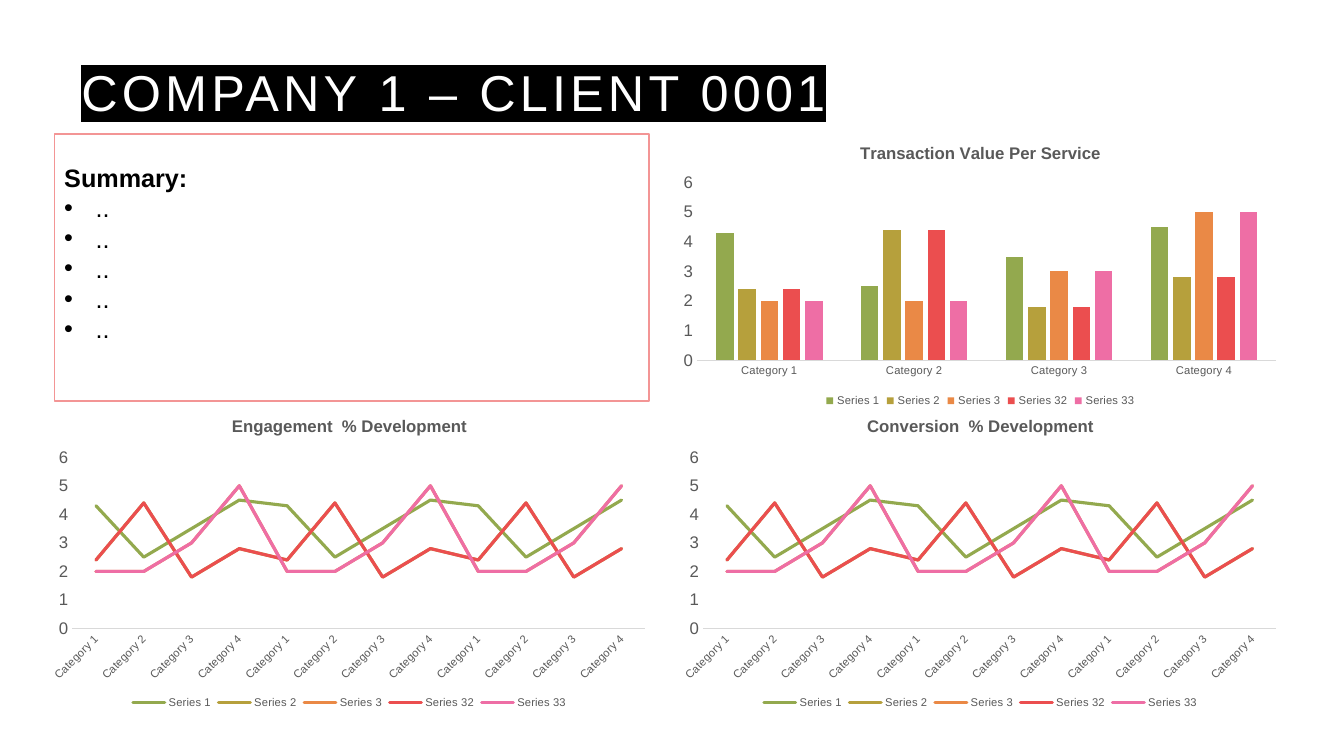
from lxml import etree
from pptx import Presentation
from pptx import util as u
from pptx.chart import data as chart_data
from pptx.dml.color import RGBColor
from pptx.enum import chart as charts, shapes, text
from pptx.oxml import parse_xml
from pptx.oxml.ns import nsdecls, qn

Cm, Pt = u.Cm, u.Pt
FONT = "Arial"
COLORS = {"black": "000000", "white": "FFFFFF", "grey": "595959",
          "axis": "D9D9D9", "border": "F39595"}
SERIES = {
    "Series 1": ("93A94E", [4.3, 2.5, 3.5, 4.5]),
    "Series 2": ("B6A03C", [2.4, 4.4, 1.8, 2.8]),
    "Series 3": ("EA8946", [2, 2, 3, 5]),
    "Series 32": ("EB4E4F", [2.4, 4.4, 1.8, 2.8]),
    "Series 33": ("EE6EA5", [2, 2, 3, 5]),
}
CATEGORIES = [f"Category {number}" for number in range(1, 5)]
LEFT, RIGHT, CHART_WIDTH = 1.04, 16.94, 15.54


def rgb(name):
    """Return the colour for a palette name or a hex string."""
    return RGBColor.from_string(COLORS.get(name, name))


def style_font(font, size, color, bold=False):
    """Set typeface, size, colour and weight of a font."""
    font.name, font.size, font.bold = FONT, Pt(size), bold
    font.color.rgb = rgb(color)


def write(paragraph, content, size=18, color="black", bold=False,
          spacing=None, highlight=None, bullet=False):
    """Write formatted text into a paragraph."""
    run = paragraph.add_run()
    run.text = content
    style_font(run.font, size, color, bold)
    properties = run.font._element
    if spacing:
        properties.set("spc", str(spacing * 100))
    if highlight:
        mark = parse_xml(f'<a:highlight {nsdecls("a")}>'
                         f'<a:srgbClr val="{COLORS[highlight]}"/></a:highlight>')
        properties.find(qn("a:solidFill")).addnext(mark)
    if bullet:
        layout = paragraph._p.get_or_add_pPr()
        layout.set("marL", str(Cm(0.79)))
        layout.set("indent", str(-Cm(0.79)))
        etree.SubElement(layout, qn("a:buFont")).set("typeface", FONT)
        etree.SubElement(layout, qn("a:buChar")).set("char", "•")


def add_title(slide, content):
    """Add the highlighted slide title."""
    box = slide.shapes.add_textbox(Cm(1.8), Cm(0), Cm(29.51), Cm(3.18))
    frame = box.text_frame
    frame.word_wrap = True
    frame.vertical_anchor = text.MSO_ANCHOR.BOTTOM
    paragraph = frame.paragraphs[0]
    paragraph.line_spacing = 1.2
    write(paragraph, content, size=36, color="white", spacing=3, highlight="black")


def add_summary(slide, heading, points):
    """Add the outlined panel with a heading and bullets."""
    shape = slide.shapes.add_shape(shapes.MSO_SHAPE.RECTANGLE,
                                   Cm(1.37), Cm(3.38), Cm(14.99), Cm(6.73))
    shape.shadow.inherit = False
    shape.fill.solid()
    shape.fill.fore_color.rgb = rgb("white")
    shape.line.color.rgb = rgb("border")
    shape.line.width = Pt(1)
    frame = shape.text_frame
    frame.word_wrap = True
    frame.vertical_anchor = text.MSO_ANCHOR.MIDDLE
    frame.margin_bottom = Cm(0.86)
    write(frame.paragraphs[0], heading, bold=True)
    for point in points:
        write(frame.add_paragraph(), point, bullet=True)
    for paragraph in frame.paragraphs:
        paragraph.alignment = text.PP_ALIGN.LEFT


def style_axis(axis, size):
    """Set the labels of an axis and remove ticks and gridlines."""
    axis.has_major_gridlines = False
    axis.major_tick_mark = axis.minor_tick_mark = charts.XL_TICK_MARK.NONE
    style_font(axis.tick_labels.font, size, "grey")


def place_plot(chart, x, y, width, height):
    """Fix the inner plot area as fractions of the chart."""
    area = chart._chartSpace.chart.plotArea
    for old in area.findall(qn("c:layout")):
        area.remove(old)
    sizes = "".join(f'<c:{tag} val="{value}"/>' for tag, value in
                    zip("xywh", (x, y, width, height)))
    area.insert(0, parse_xml(
        f'<c:layout {nsdecls("c")}><c:manualLayout><c:layoutTarget val="inner"/>'
        f'<c:xMode val="edge"/><c:yMode val="edge"/>{sizes}'
        '</c:manualLayout></c:layout>'))


def add_chart(slide, kind, title, left, top, height, repeats=1):
    """Add a chart with the shared series, axes and legend."""
    data = chart_data.CategoryChartData()
    data.categories = CATEGORIES * repeats
    for name, (_, values) in SERIES.items():
        data.add_series(name, values * repeats)
    chart = slide.shapes.add_chart(kind, Cm(left), Cm(top), Cm(CHART_WIDTH),
                                   Cm(height), data).chart
    style_font(chart.font, 10, "black")
    chart.has_title = True
    write(chart.chart_title.text_frame.paragraphs[0], title,
          size=12, color="grey", bold=True)
    chart.chart_title.include_in_layout = False
    chart.has_legend = True
    chart.legend.position = charts.XL_LEGEND_POSITION.BOTTOM
    chart.legend.include_in_layout = False
    style_font(chart.legend.font, 8, "grey")
    style_axis(chart.category_axis, 8)
    chart.category_axis.format.line.color.rgb = rgb("axis")
    chart.category_axis.format.line.width = Pt(0.75)
    style_axis(chart.value_axis, 12)
    chart.value_axis.format.line.fill.background()
    chart.value_axis.minimum_scale, chart.value_axis.maximum_scale = 0, 6
    chart.value_axis.major_unit = 1
    chart.plots[0].vary_by_categories = False
    return chart


def add_column_chart(slide, title, left, top, height):
    """Add a clustered column chart."""
    chart = add_chart(slide, charts.XL_CHART_TYPE.COLUMN_CLUSTERED,
                      title, left, top, height)
    plot = chart.plots[0]
    plot.gap_width, plot.overlap = 219, -27
    for series, (color, _) in zip(plot.series, SERIES.values()):
        series.format.fill.solid()
        series.format.fill.fore_color.rgb = rgb(color)
    place_plot(chart, 0.04, 0.19, 0.94, 0.63)


def add_line_chart(slide, title, left, top, height):
    """Add a line chart over three rounds of categories."""
    chart = add_chart(slide, charts.XL_CHART_TYPE.LINE, title, left, top, height, 3)
    chart.category_axis.tick_labels._element.get_or_add_txPr().bodyPr.set("rot", "-2700000")
    for series, (color, _) in zip(chart.plots[0].series, SERIES.values()):
        series.smooth = False
        series.marker.style = charts.XL_MARKER_STYLE.NONE
        series.format.line.color.rgb = rgb(color)
        series.format.line.width = Pt(2.25)
        series.format.line._ln.set("cap", "rnd")
    place_plot(chart, 0.05, 0.18, 0.93, 0.55)


def main():
    """Build and save the client slide."""
    presentation = Presentation()
    presentation.slide_width, presentation.slide_height = Cm(33.87), Cm(19.05)
    slide = presentation.slides.add_slide(presentation.slide_layouts[6])
    add_title(slide, "COMPANY 1 – CLIENT 0001")
    add_column_chart(slide, "Transaction Value Per Service", RIGHT, 3.25, 7.11)
    add_line_chart(slide, "Conversion  % Development", RIGHT, 10.11, 7.85)
    add_line_chart(slide, "Engagement  % Development", LEFT, 10.11, 7.85)
    add_summary(slide, "Summary:", [".."] * 5)
    presentation.save("out.pptx")


if __name__ == "__main__":
    main()
